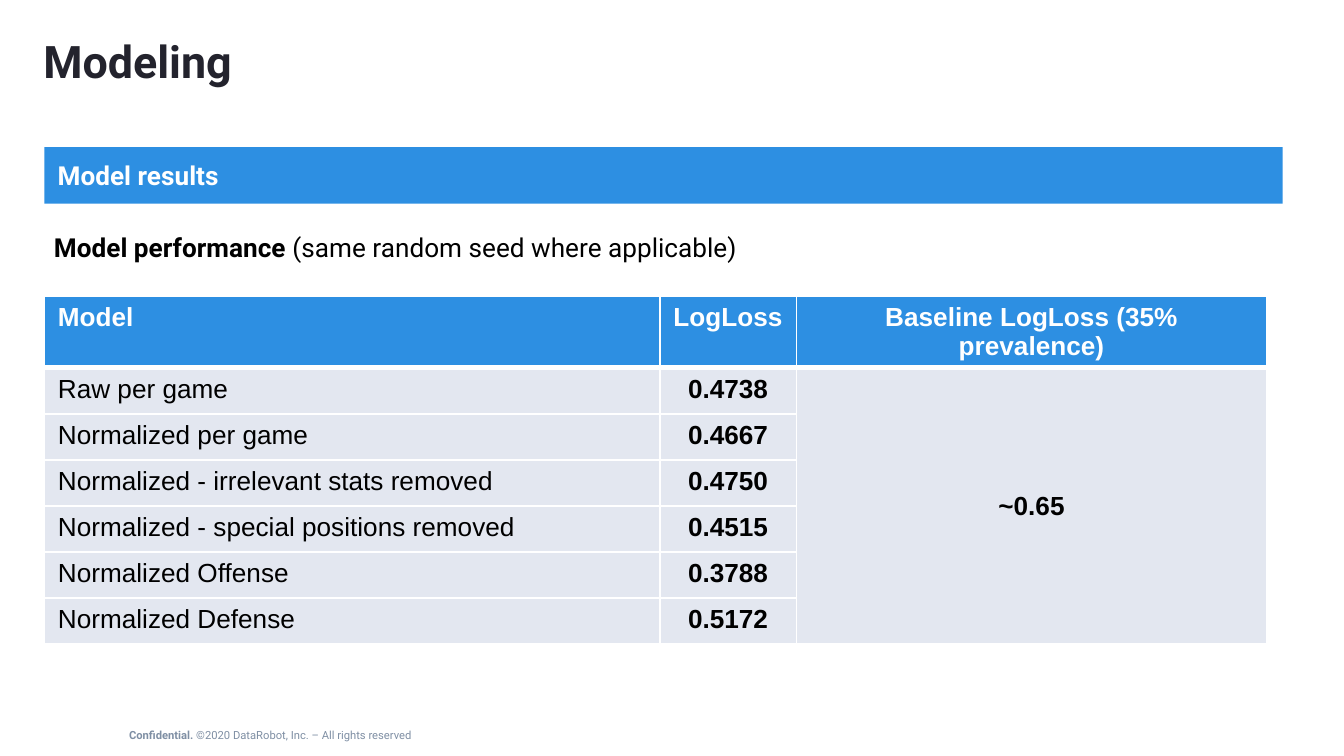
from dataclasses import dataclass
from typing import Any

import lxml.etree
import pptx
import pptx.dml.color
import pptx.enum.shapes
import pptx.enum.text
import pptx.oxml.ns
import pptx.util

Cm = pptx.util.Cm
Pt = pptx.util.Pt
ALIGN = pptx.enum.text.PP_ALIGN
ANCHOR = pptx.enum.text.MSO_ANCHOR


@dataclass(frozen=True)
class Theme:
    heading_font: str = "Roboto"
    table_font: str = "Arial"
    blue: str = "2D8FE2"
    pale: str = "E3E7F0"
    white: str = "FFFFFF"
    black: str = "000000"
    ink: str = "23232D"
    grey: str = "7F8FA4"
    title_size: float = 24
    body_size: float = 14
    footer_size: float = 6


@dataclass(frozen=True)
class Box:
    """Left, top, width and height in centimetres."""
    left: float
    top: float
    width: float
    height: float

    def lengths(self) -> tuple:
        return Cm(self.left), Cm(self.top), Cm(self.width), Cm(self.height)


@dataclass(frozen=True)
class Style:
    font: str
    size: float
    color: str
    bold: bool = False


@dataclass(frozen=True)
class ModelResult:
    model: str
    log_loss: str


THEME = Theme()
HEADERS = ("Model", "LogLoss", "Baseline LogLoss (35% prevalence)")
BASELINE = "~0.65"
RESULTS = (
    ModelResult("Raw per game", "0.4738"),
    ModelResult("Normalized per game", "0.4667"),
    ModelResult("Normalized - irrelevant stats removed", "0.4750"),
    ModelResult("Normalized - special positions removed", "0.4515"),
    ModelResult("Normalized Offense", "0.3788"),
    ModelResult("Normalized Defense", "0.5172"),
)
COLUMN_WIDTHS = (11.63, 2.58, 8.89)
HEADER_HEIGHT, ROW_HEIGHT = 1.35, 0.87


def rgb(color: str) -> pptx.dml.color.RGBColor:
    return pptx.dml.color.RGBColor.from_string(color)


def format_run(run: Any, style: Style) -> None:
    run.font.name = style.font
    run.font.size = Pt(style.size)
    run.font.color.rgb = rgb(style.color)
    run.font.bold = style.bold


def set_frame(frame: Any, anchor: Any, side: float, upright: float) -> None:
    frame.word_wrap = True
    frame.auto_size = pptx.enum.text.MSO_AUTO_SIZE.NONE
    frame.vertical_anchor = anchor
    frame.margin_left = frame.margin_right = Cm(side)
    frame.margin_top = frame.margin_bottom = Cm(upright)


def add_lead_text(slide: Any, box: Box, lead: str, rest: str, size: float,
                  color: str, anchor: Any, upright: float) -> Any:
    """Add one line that opens in bold and goes on in regular weight."""
    frame = slide.shapes.add_textbox(*box.lengths()).text_frame
    set_frame(frame, anchor, 0.18, upright)
    line = frame.paragraphs[0]
    for words, bold in ((lead, True), (rest, False)):
        run = line.add_run()
        run.text = words
        format_run(run, Style(THEME.heading_font, size, color, bold))
    return line


def set_borders(cell: Any, top: float, bottom: float) -> None:
    properties = cell._tc.get_or_add_tcPr()
    widths = {"lnL": 1, "lnR": 1, "lnT": top, "lnB": bottom}
    for position, (tag, width) in enumerate(widths.items()):
        edge = lxml.etree.Element(pptx.oxml.ns.qn(f"a:{tag}"), w=str(Pt(width)))
        fill = lxml.etree.SubElement(edge, pptx.oxml.ns.qn("a:solidFill"))
        lxml.etree.SubElement(fill, pptx.oxml.ns.qn("a:srgbClr"), val=THEME.white)
        properties.insert(position, edge)


def fill_cell(cell: Any, text: str, row: int, column: int) -> None:
    is_header = row == 0
    cell.fill.solid()
    cell.fill.fore_color.rgb = rgb(THEME.blue if is_header else THEME.pale)
    set_borders(cell, top=3 if row == 1 else 1, bottom=3 if is_header else 1)
    if not text:
        return
    line = cell.text_frame.paragraphs[0]
    line.text = text
    line.alignment = ALIGN.CENTER if column else ALIGN.LEFT
    color = THEME.white if is_header else THEME.black
    format_run(line.runs[0], Style(THEME.table_font, THEME.body_size, color,
                                   is_header or column > 0))


def add_results_table(slide: Any, left: float, top: float) -> None:
    box = Box(left, top, sum(COLUMN_WIDTHS), HEADER_HEIGHT + ROW_HEIGHT * len(RESULTS))
    table = slide.shapes.add_table(len(RESULTS) + 1, len(HEADERS), *box.lengths()).table
    for column, width in zip(table.columns, COLUMN_WIDTHS):
        column.width = Cm(width)
    for index, row in enumerate(table.rows):
        row.height = Cm(ROW_HEIGHT if index else HEADER_HEIGHT)

    # One baseline value spans all the models
    baseline = table.cell(1, 2)
    baseline.merge(table.cell(len(RESULTS), 2))
    baseline.vertical_anchor = ANCHOR.MIDDLE
    rows = [HEADERS] + [(result.model, result.log_loss, "" if index else BASELINE)
                        for index, result in enumerate(RESULTS)]
    for row, texts in enumerate(rows):
        for column, text in enumerate(texts):
            fill_cell(table.cell(row, column), text, row, column)


def set_title(slide: Any, box: Box, text: str) -> None:
    title = slide.shapes.title
    title.left, title.top, title.width, title.height = box.lengths()
    set_frame(title.text_frame, ANCHOR.MIDDLE, 0.18, 0.1)
    line = title.text_frame.paragraphs[0]
    line.text = text
    line.alignment = ALIGN.LEFT
    line.line_spacing = 0.9
    format_run(line.runs[0], Style(THEME.heading_font, THEME.title_size, THEME.ink, True))


def add_banner(slide: Any, box: Box, text: str) -> None:
    banner = slide.shapes.add_shape(pptx.enum.shapes.MSO_SHAPE.RECTANGLE, *box.lengths())
    banner.shadow.inherit = False
    banner.fill.solid()
    banner.fill.fore_color.rgb = rgb(THEME.blue)
    banner.line.fill.background()
    set_frame(banner.text_frame, ANCHOR.MIDDLE, 0.25, 0.13)
    line = banner.text_frame.paragraphs[0]
    line.text = text
    line.alignment = ALIGN.LEFT
    format_run(line.runs[0], Style(THEME.heading_font, THEME.body_size, THEME.white, True))


def main() -> None:
    deck = pptx.Presentation()
    deck.slide_width, deck.slide_height = Cm(25.4), Cm(14.29)
    slide = deck.slides.add_slide(deck.slide_layouts[5])

    # Footer
    add_lead_text(slide, Box(2.26, 13.44, 7.39, 0.91), "Confidential.",
                  " ©2020 DataRobot, Inc. – All rights reserved",
                  THEME.footer_size, THEME.grey, ANCHOR.MIDDLE, 0.18)

    # Title and section banner
    set_title(slide, Box(0.64, 0.38, 21.36, 1.65), "Modeling")
    add_banner(slide, Box(0.84, 2.78, 23.4, 1.07), "Model results")

    # Performance heading and table
    heading = add_lead_text(slide, Box(0.84, 4.34, 23.47, 1.45), "Model performance ",
                            "(same random seed where applicable)",
                            THEME.body_size, THEME.black, ANCHOR.TOP, 0.1)
    heading.line_spacing = 0.9
    add_results_table(slide, 0.84, 5.59)

    deck.save("out.pptx")


if __name__ == "__main__":
    main()
